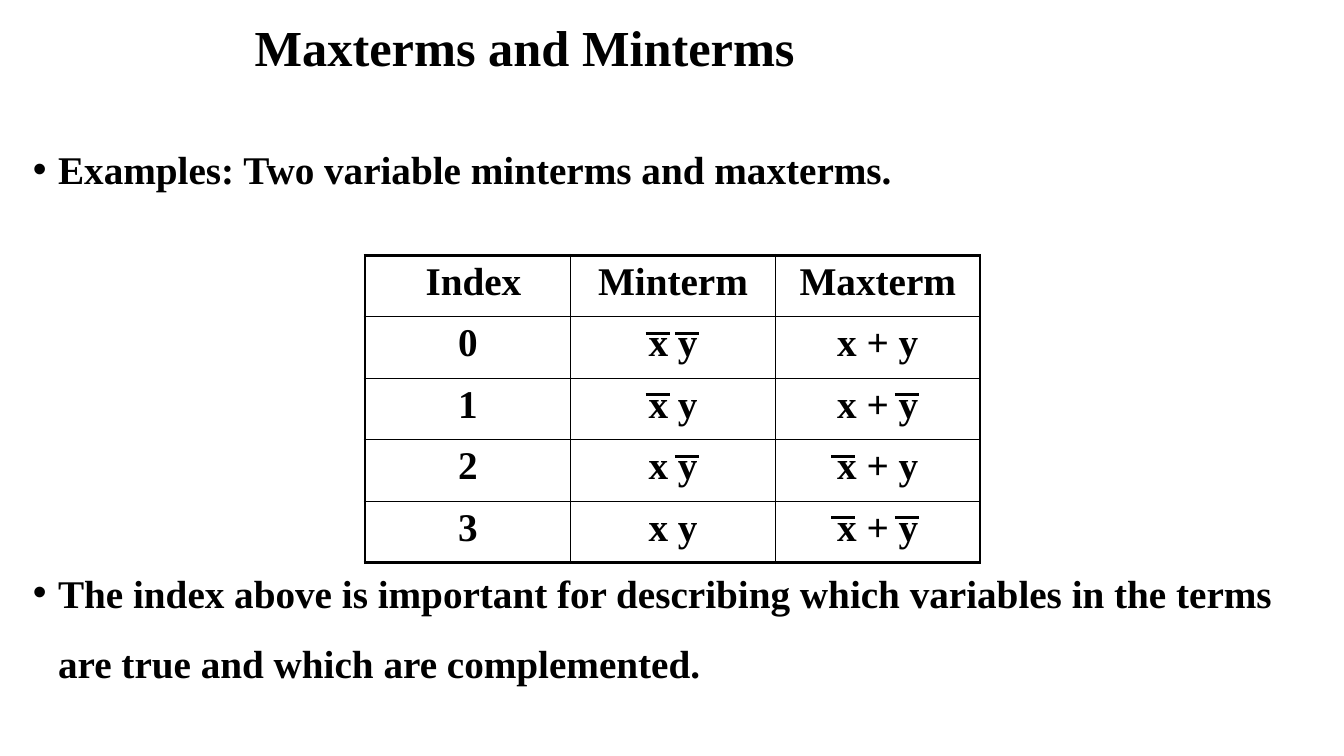
import pptx
import pptx.dml.color
import pptx.enum.shapes
import pptx.enum.text
import pptx.oxml
import pptx.oxml.ns
import pptx.util
from pptx.util import Cm

BLACK = pptx.dml.color.RGBColor(0, 0, 0)
FONT = "Times New Roman"
ALIGN = pptx.enum.text.PP_ALIGN
THIN, THICK = pptx.util.Pt(1), pptx.util.Pt(2.25)

HEADER = ("Index", "Minterm", "Maxterm")
# For each index: the variables with a bar in the minterm, then in the maxterm
COMPLEMENTS = (("xy", ""), ("x", "y"), ("y", "x"), ("", "xy"))
COLUMN_WIDTHS = (Cm(5.18), Cm(5.16), Cm(5.16))
ROW_HEIGHT = Cm(1.55)
BAR_LENGTH, BAR_DROP = Cm(0.61), Cm(0.42)
# Distance from the left edge of the column to the bar over each variable
BAR_INSETS = ({"x": Cm(1.89), "y": Cm(2.63)}, {"x": Cm(1.41), "y": Cm(3.01)})


def add_element(parent, tag, **attributes):
    child = pptx.oxml.parse_xml(f"<{tag} {pptx.oxml.ns.nsdecls('a')}/>")
    for name, value in attributes.items():
        child.set(name, str(value))
    parent.append(child)
    return child


def style_font(para, size):
    para.font.name = FONT
    para.font.size = pptx.util.Pt(size)
    para.font.bold = True
    para.font.color.rgb = BLACK


def add_frame(page, left, top, width, height):
    frame = page.shapes.add_textbox(left, top, width, height).text_frame
    frame.word_wrap = True
    return frame


def add_title(page, left, top, width, height):
    frame = add_frame(page, left, top, width, height)
    frame.vertical_anchor = pptx.enum.text.MSO_ANCHOR.MIDDLE
    para = frame.paragraphs[0]
    para.text = "Maxterms and Minterms"
    para.line_spacing = 0.9
    style_font(para, 36)


def add_bullets(page, left, top, width, height):
    """Add two bullets, with room for the table between them."""
    frame = add_frame(page, left, top, width, height)
    bullets = (
        ("Examples: Two variable minterms and maxterms.", 10),
        ("The index above is important for describing which variables in the "
         "terms are true and which are complemented.", 252),
    )
    for number, (text, space) in enumerate(bullets):
        para = frame.add_paragraph() if number else frame.paragraphs[0]
        para.text = text
        para.line_spacing = 1.5
        para.space_before = pptx.util.Pt(space)
        properties = para._p.get_or_add_pPr()
        properties.set("marL", str(Cm(0.635)))
        properties.set("indent", str(-Cm(0.635)))
        add_element(properties, "a:buFont", typeface="Arial")
        add_element(properties, "a:buChar", char="•")
        style_font(para, 28)


def set_borders(cell, **widths):
    properties = cell._tc.get_or_add_tcPr()
    for side in "LRTB":
        line = add_element(properties, f"a:ln{side}", w=widths[side])
        fill = add_element(line, "a:solidFill")
        add_element(fill, "a:srgbClr", val=str(BLACK))
    add_element(properties, "a:noFill")


def add_terms_table(page, left, top):
    rows = [HEADER] + [(str(index), "x y", "x + y") for index in range(len(COMPLEMENTS))]
    table = page.shapes.add_table(len(rows), len(HEADER), left, top,
                                  sum(COLUMN_WIDTHS), ROW_HEIGHT * len(rows)).table
    table.first_row = table.horz_banding = False
    for column, width in zip(table.columns, COLUMN_WIDTHS):
        column.width = width
    last_row, last_column = len(rows) - 1, len(HEADER) - 1
    for r, texts in enumerate(rows):
        table.rows[r].height = ROW_HEIGHT
        for c, text in enumerate(texts):
            cell = table.cell(r, c)
            para = cell.text_frame.paragraphs[0]
            para.text = text
            para.alignment = ALIGN.CENTER
            style_font(para, 28)
            set_borders(cell,
                        L=THIN if c else THICK,
                        R=THICK if c == last_column else THIN,
                        T=THIN if r else THICK,
                        B=THICK if r == last_row else THIN)
    index_para = table.cell(0, 0).text_frame.paragraphs[0]
    index_para.alignment = ALIGN.LEFT
    index_para._p.get_or_add_pPr().set("marL", str(Cm(1.27)))


def add_bar(page, left, top):
    bar = page.shapes.add_connector(pptx.enum.shapes.MSO_CONNECTOR.STRAIGHT,
                                    left, top, left + BAR_LENGTH, top)
    bar.line.color.rgb = BLACK
    bar.line.width = THICK
    add_element(bar._element.spPr, "a:effectLst")


def add_complement_bars(page, left, top):
    """Draw the bars over the variables of a table placed at left, top."""
    for r, terms in enumerate(COMPLEMENTS, start=1):
        for c, variables in enumerate(terms, start=1):
            column_left = left + sum(COLUMN_WIDTHS[:c])
            for variable in variables:
                add_bar(page, column_left + BAR_INSETS[c - 1][variable],
                        top + ROW_HEIGHT * r + BAR_DROP)


def main():
    deck = pptx.Presentation()
    deck.slide_width, deck.slide_height = Cm(33.87), Cm(19.05)
    page = deck.slides.add_slide(deck.slide_layouts[6])
    add_bullets(page, Cm(0.58), Cm(2.95), Cm(32.59), Cm(15.19))
    add_title(page, Cm(6.17), Cm(0), Cm(15.39), Cm(2.54))
    table_corner = Cm(9.2), Cm(6.43)
    add_terms_table(page, *table_corner)
    add_complement_bars(page, *table_corner)
    deck.save("out.pptx")


if __name__ == "__main__":
    main()
